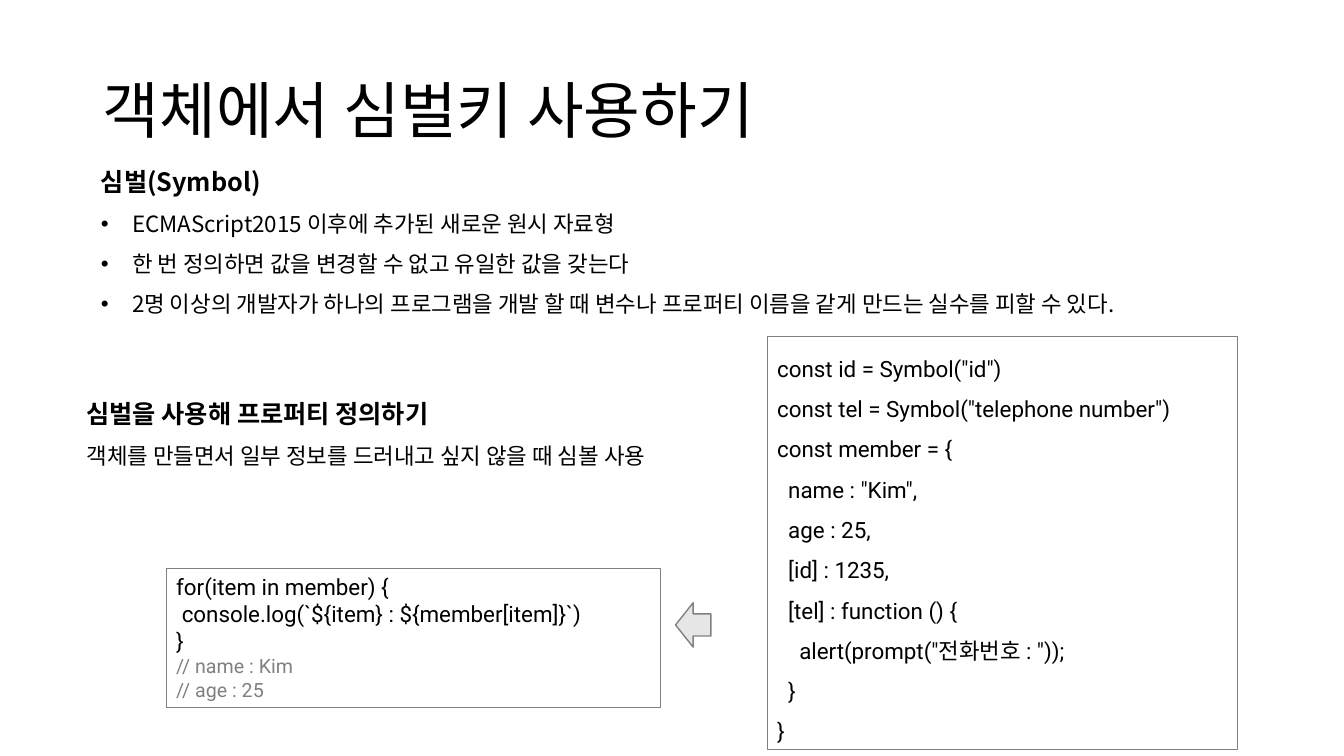
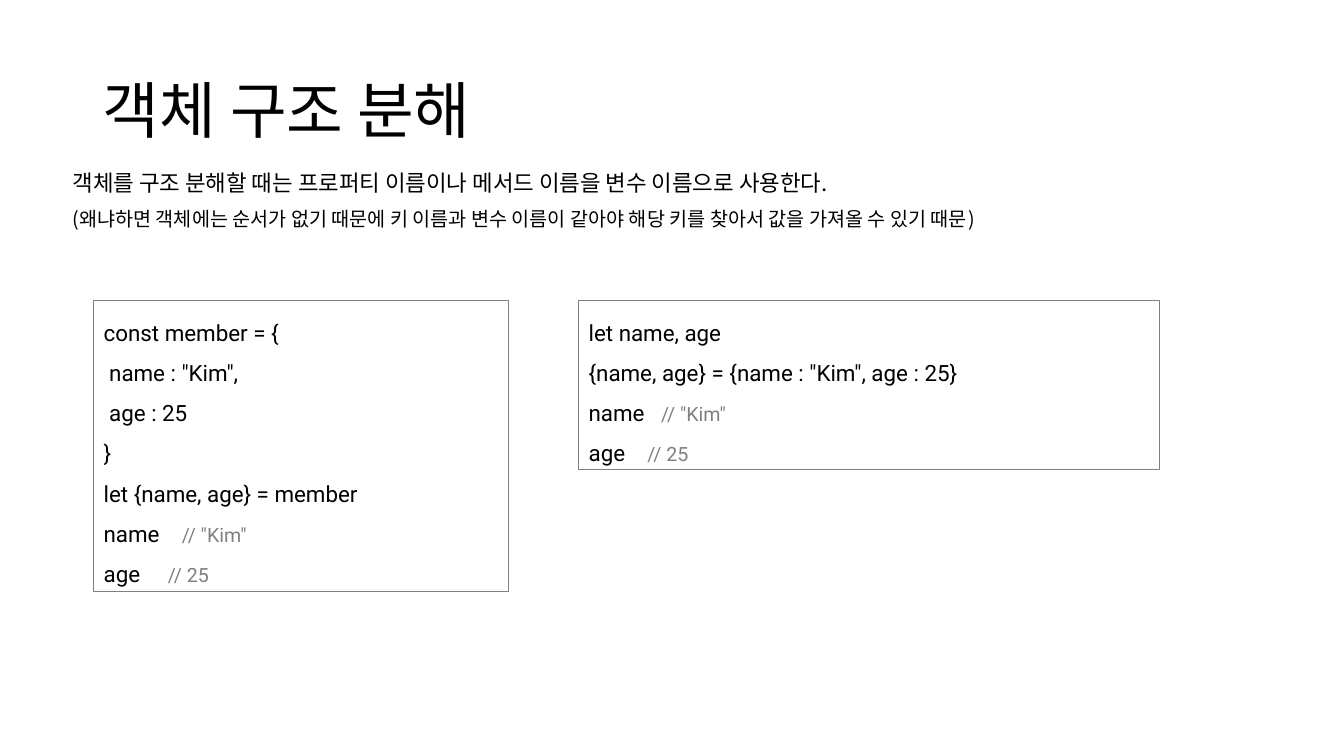
import pptx
import pptx.util
import pptx.dml.color
import pptx.enum.shapes
import pptx.enum.text
import pptx.oxml.ns
from lxml import etree

Inches = pptx.util.Inches
Pt = pptx.util.Pt
RGBColor = pptx.dml.color.RGBColor
SHAPE = pptx.enum.shapes.MSO_SHAPE
ANCHOR = pptx.enum.text.MSO_ANCHOR

BLACK = RGBColor(0x00, 0x00, 0x00)
GRAY = RGBColor(0x80, 0x80, 0x80)
LIGHT_GRAY = RGBColor(0xE7, 0xE6, 0xE6)
KOREAN_FONT = "Noto Sans CJK KR"
CODE_FONT = "Roboto"
BULLET_INDENT = 0.31


class Deck:
    """Holds the shared style and the current slide."""

    def __init__(self):
        self.presentation = pptx.Presentation()
        self.presentation.slide_width = Inches(13.33)
        self.presentation.slide_height = Inches(7.5)
        self.slide = None

    def add_slide(self, title):
        layout = self.presentation.slide_layouts[1]
        self.slide = self.presentation.slides.add_slide(layout)
        shape = self.slide.shapes.title
        self.place(shape, 0.92, 0.4, 11.5, 1.45)
        frame = self.prepare_frame(shape, ANCHOR.MIDDLE)
        paragraph = self.add_paragraph(frame, 0, 0.9)
        self.add_run(paragraph, title, 44)

    def place(self, shape, left, top, width, height):
        shape.left, shape.top = Inches(left), Inches(top)
        shape.width, shape.height = Inches(width), Inches(height)

    def prepare_frame(self, shape, anchor=ANCHOR.TOP):
        frame = shape.text_frame
        frame.word_wrap = True
        frame.auto_size = pptx.enum.text.MSO_AUTO_SIZE.NONE
        frame.vertical_anchor = anchor
        return frame

    def add_paragraph(self, frame, index, spacing):
        paragraph = frame.add_paragraph() if index else frame.paragraphs[0]
        paragraph.alignment = pptx.enum.text.PP_ALIGN.LEFT
        paragraph.line_spacing = spacing
        paragraph.space_before = Pt(0)
        return paragraph

    def add_run(self, paragraph, text, size, font=KOREAN_FONT, color=BLACK, bold=False):
        run = paragraph.add_run()
        run.text = text
        run.font.size = Pt(size)
        run.font.name = font
        run.font.bold = bold
        run.font.color.rgb = color
        east_asian = etree.SubElement(run.font._element, pptx.oxml.ns.qn("a:ea"))
        east_asian.set("typeface", KOREAN_FONT)

    def set_bullet(self, paragraph, bulleted):
        properties = paragraph._p.get_or_add_pPr()
        indent = Inches(BULLET_INDENT) if bulleted else 0
        properties.set("marL", str(indent))
        properties.set("indent", str(-indent))
        if bulleted:
            font = etree.SubElement(properties, pptx.oxml.ns.qn("a:buFont"))
            font.set("typeface", "Arial")
            bullet = etree.SubElement(properties, pptx.oxml.ns.qn("a:buChar"))
            bullet.set("char", "•")
        else:
            etree.SubElement(properties, pptx.oxml.ns.qn("a:buNone"))

    def write_lines(self, shape, lines):
        """Each line is (text, size, bold, bulleted)."""
        frame = self.prepare_frame(shape)
        for index, (text, size, bold, bulleted) in enumerate(lines):
            paragraph = self.add_paragraph(frame, index, 1.5)
            self.set_bullet(paragraph, bulleted)
            self.add_run(paragraph, text, size, bold=bold)

    def add_body(self, position, lines):
        shape = self.slide.placeholders[1]
        self.place(shape, *position)
        self.write_lines(shape, lines)

    def add_text(self, position, lines):
        shape = self.slide.shapes.add_textbox(*map(Inches, position))
        self.write_lines(shape, lines)

    def add_shape(self, kind, position, line_width, fill=None):
        shape = self.slide.shapes.add_shape(kind, *map(Inches, position))
        shape.shadow.inherit = False
        shape.line.color.rgb = GRAY
        shape.line.width = Pt(line_width)
        if fill is None:
            shape.fill.background()
        else:
            shape.fill.solid()
            shape.fill.fore_color.rgb = fill
        return shape

    def add_code(self, position, lines, spacing=1.5):
        """Outlined code box; everything from // on is a gray comment."""
        frame = self.prepare_frame(self.add_shape(SHAPE.RECTANGLE, position, 0.75))
        for index, line in enumerate(lines):
            paragraph = self.add_paragraph(frame, index, spacing)
            code, mark, comment = line.partition("//")
            if code:
                self.add_run(paragraph, code, 16, CODE_FONT)
            if mark:
                self.add_run(paragraph, mark + comment, 14, CODE_FONT, GRAY)


deck = Deck()

# Slide 1: symbol keys
deck.add_slide("객체에서 심벌키 사용하기")
deck.add_body((0.9, 1.45, 11.76, 1.71), [
    ("심벌(Symbol)", 18, True, False),
    ("ECMAScript2015 이후에 추가된 새로운 원시 자료형", 16, False, True),
    ("한 번 정의하면 값을 변경할 수 없고 유일한 값을 갖는다", 16, False, True),
    ("2명 이상의 개발자가 하나의 프로그램을 개발 할 때 변수나 프로퍼티 이름을 "
     "같게 만드는 실수를 피할 수 있다.", 16, False, True),
])
deck.add_text((0.76, 3.75, 6.67, 0.91), [
    ("심벌을 사용해 프로퍼티 정의하기", 18, True, False),
    ("객체를 만들면서 일부 정보를 드러내고 싶지 않을 때 심볼 사용", 16, False, False),
])
deck.add_code((7.61, 3.34, 4.66, 4.1), [
    'const id = Symbol("id")',
    'const tel = Symbol("telephone number")',
    "const member = {",
    '  name : "Kim",',
    "  age : 25,",
    "  [id] : 1235,",
    "  [tel] : function () {",
    '    alert(prompt("전화번호 : "));',
    "  }",
    "}",
])
deck.add_code((1.65, 5.64, 4.9, 1.38), [
    "for(item in member) {",
    " console.log(`${item} : ${member[item]}`)",
    "}",
    "// name : Kim",
    "// age : 25",
], spacing=1.0)
deck.add_shape(SHAPE.LEFT_ARROW, (6.7, 5.98, 0.35, 0.44), 1, LIGHT_GRAY)

# Slide 2: object destructuring
deck.add_slide("객체 구조 분해")
deck.add_body((0.62, 1.49, 12.12, 0.81), [
    ("객체를 구조 분해할 때는 프로퍼티 이름이나 메서드 이름을 변수 이름으로 사용한다.",
     16, False, False),
    ("(왜냐하면 객체에는 순서가 없기 때문에 키 이름과 변수 이름이 같아야 해당 키를 "
     "찾아서 값을 가져올 수 있기 때문)", 14, False, False),
])
deck.add_code((0.93, 2.98, 4.11, 2.89), [
    "const member = {",
    ' name : "Kim",',
    " age : 25",
    "}",
    "let {name, age} = member",
    'name    // "Kim"',
    "age     // 25",
])
deck.add_code((5.74, 2.98, 5.76, 1.68), [
    "let name, age",
    '{name, age} = {name : "Kim", age : 25}',
    'name   // "Kim"',
    "age    // 25",
])

deck.presentation.save("out.pptx")
